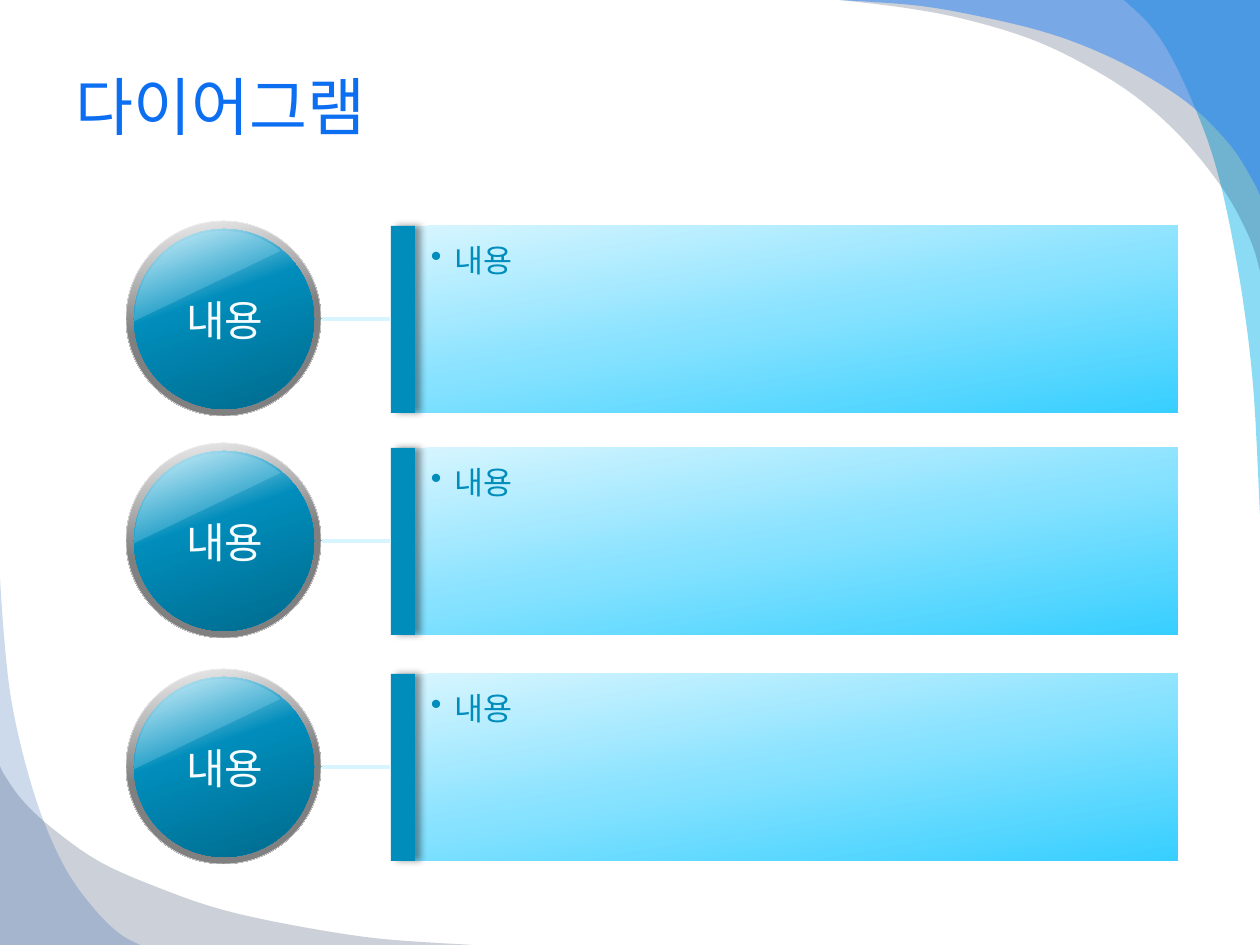
from dataclasses import dataclass

from lxml import etree
from pptx import Presentation
from pptx import util as u
from pptx.dml.color import RGBColor
from pptx.enum import shapes, text
from pptx.oxml import ns

SCALE = 914400 // 126
ROWS = [221, 443, 669]


@dataclass(frozen=True)
class Theme:
    """Colours, gradients and type sizes of the slide."""
    font: str = "Roboto"
    title: str = "0C6FF2"
    label: str = "F7FDFF"
    accent: str = "008DBB"
    gloss: str = "BEEFFF"
    link: str = "D7F5FF"
    rim_line: str = "F2F2F2"
    rim: tuple = ((0, "F2F2F2"), (50, "808080"), (100, "808080"))
    ball: tuple = ((0, "DFF7FF"), (40, "008DBB"), (100, "006A8C"))
    panel: tuple = ((0, "D7F5FF"), (50, "87E2FF"), (100, "37CFFF"))
    title_size: int = 36
    label_size: int = 24
    body_size: int = 18


THEME = Theme()

WAVES = [
    ("00B1E9", 45, (1260, 0),
     [(1124, 0), (1150, 25), (1172, 58), (1196, 110), (1215, 163),
      (1231, 231), (1245, 314), (1254, 397), (1260, 514)]),
    ("021741", 20, (1260, 0),
     [(840, 0), (906, 8), (964, 19), (1028, 38), (1082, 63),
      (1135, 96), (1183, 139), (1225, 192), (1250, 239), (1260, 271)]),
    ("247FF4", 49, (1260, 0),
     [(840, 0), (921, 6), (992, 19), (1051, 34), (1101, 53),
      (1150, 78), (1194, 108), (1231, 146), (1252, 179), (1260, 195)]),
    ("021741", 20, (0, 945),
     [(472, 945), (382, 939), (302, 927), (223, 910), (159, 888),
      (100, 862), (53, 829), (23, 801), (5, 776), (0, 766)]),
    ("084AA1", 20, (0, 945),
     [(0, 577), (4, 635), (11, 698), (25, 762), (44, 822),
      (68, 873), (96, 911), (120, 934), (140, 945)]),
]


def px(*lengths):
    """Turn lengths in px into a list of EMU lengths."""
    return [u.Emu(round(length * SCALE)) for length in lengths]


def add_child(parent, tag, **attributes):
    """Append a DrawingML element and return it."""
    child = etree.SubElement(parent, ns.qn(tag))
    for name, value in attributes.items():
        child.set(name, str(value))
    return child


def paint(shape, color, opacity=100):
    """Fill a shape with one colour, without outline or shadow."""
    shape.shadow.inherit = False
    shape.line.fill.background()
    shape.fill.solid()
    shape.fill.fore_color.rgb = RGBColor.from_string(color)
    if opacity < 100:
        swatch = shape.element.spPr.find(ns.qn("a:solidFill"))[0]
        add_child(swatch, "a:alpha", val=opacity * 1000)


def shade(shape, stops, angle):
    """Fill a shape with a linear gradient running clockwise by angle."""
    shape.shadow.inherit = False
    shape.line.fill.background()
    shape.fill.gradient()
    shape.fill.gradient_angle = 360 - angle
    stop_list = shape.element.spPr.find(".//" + ns.qn("a:gsLst"))
    for stop in list(stop_list):
        stop_list.remove(stop)
    for position, color in stops:
        stop = add_child(stop_list, "a:gs", pos=position * 1000)
        add_child(stop, "a:srgbClr", val=color)


def write(para, words, size, color):
    """Write words in the theme font for Latin and East Asian text."""
    para.text = words
    for span in para.runs:
        span.font.size = u.Pt(size)
        span.font.name = THEME.font
        span.font.color.rgb = RGBColor.from_string(color)
        add_child(span.font._element, "a:ea", typeface=THEME.font)


def smooth_curve(points, steps=5):
    """Return points along a Catmull-Rom curve through the given ones."""
    padded = [points[0], *points, points[-1]]
    curve = []
    for a, b, c, d in zip(padded, padded[1:], padded[2:], padded[3:]):
        for step in range(steps):
            t = step / steps
            curve.append(tuple(
                q + t * (r - p) / 2
                + t ** 2 * (2 * p - 5 * q + 4 * r - s) / 2
                + t ** 3 * (3 * q - p - 3 * r + s) / 2
                for p, q, r, s in zip(a, b, c, d)))
    return curve + [points[-1]]


def add_wave(page, color, opacity, corner, edge):
    """Draw a translucent wave between a slide corner and a curved edge."""
    builder = page.shapes.build_freeform(*px(*corner))
    builder.add_line_segments([px(*point) for point in smooth_curve(edge)])
    paint(builder.convert_to_shape(), color, opacity)


def add_title(page, words):
    """Place and format the title."""
    box = page.shapes.title
    box.left, box.top, box.width, box.height = px(63, 42, 1134, 127)
    box.text_frame.vertical_anchor = text.MSO_ANCHOR.MIDDLE
    para = box.text_frame.paragraphs[0]
    write(para, words, THEME.title_size, THEME.title)
    para.alignment = text.PP_ALIGN.LEFT


def add_button(page, top, words):
    """Draw a glossy round button with a label."""
    kinds = shapes.MSO_SHAPE
    rim = page.shapes.add_shape(kinds.OVAL, *px(126, top, 195, 195))
    shade(rim, THEME.rim, 80)
    rim.line.color.rgb = RGBColor.from_string(THEME.rim_line)
    rim.line.width = u.Pt(0.25)
    ball = page.shapes.add_shape(kinds.OVAL, *px(134, top + 8, 180, 180))
    shade(ball, THEME.ball, 70)
    gloss = page.shapes.add_shape(kinds.CHORD, *px(134, top + 10, 180, 180))
    gloss.adjustments[0], gloss.adjustments[1] = 53.946, 131.298
    gloss.rotation = 90
    paint(gloss, THEME.gloss, 20)
    label = page.shapes.add_textbox(*px(171, top + 67, 108, 63))
    frame = label.text_frame
    frame.word_wrap = False
    frame.auto_size = text.MSO_AUTO_SIZE.SHAPE_TO_FIT_TEXT
    frame.vertical_anchor = text.MSO_ANCHOR.MIDDLE
    write(frame.paragraphs[0], words, THEME.label_size, THEME.label)
    frame.paragraphs[0].alignment = text.PP_ALIGN.CENTER


def add_panel(page, top, words):
    """Draw a content panel with a bullet and a shadowed side bar."""
    kinds = shapes.MSO_SHAPE
    panel = page.shapes.add_shape(kinds.RECTANGLE, *px(401, top, 777, 187))
    shade(panel, THEME.panel, 80)
    frame = panel.text_frame
    frame.word_wrap = True
    frame.vertical_anchor = text.MSO_ANCHOR.TOP
    (frame.margin_left, frame.margin_top,
     frame.margin_right, frame.margin_bottom) = px(30, 15, 13, 6)
    para = frame.paragraphs[0]
    properties = para._p.get_or_add_pPr()
    indent = px(24)[0]
    properties.set("marL", str(indent))
    properties.set("indent", str(-indent))
    add_child(properties, "a:buChar", char="•")
    write(para, words, THEME.body_size, THEME.accent)
    para.alignment = text.PP_ALIGN.LEFT

    bar = page.shapes.add_shape(kinds.RECTANGLE, *px(391, top, 24, 187))
    paint(bar, THEME.accent)
    effects = bar.element.spPr.find(ns.qn("a:effectLst"))
    shadow = add_child(effects, "a:outerShdw", blurRad=u.Pt(4), dist=u.Pt(3),
                       dir=0, algn="l", rotWithShape=0)
    add_child(add_child(shadow, "a:srgbClr", val="000000"),
              "a:alpha", val=40000)


def add_link(page, y):
    """Join a button to its panel."""
    link = page.shapes.add_connector(
        shapes.MSO_CONNECTOR.STRAIGHT, *px(322, y, 391, y))
    link.line.color.rgb = RGBColor.from_string(THEME.link)
    link.line.width = u.Pt(2.25)
    add_child(link._element.spPr, "a:effectLst")


def main():
    """Build the diagram slide and save it."""
    deck = Presentation()
    deck.slide_width, deck.slide_height = px(1260, 945)
    page = deck.slides.add_slide(deck.slide_layouts[5])
    for wave in WAVES:
        add_wave(page, *wave)
    add_title(page, "다이어그램")
    for top in ROWS:
        add_button(page, top, "내용")
        add_panel(page, top + 5, "내용")
        add_link(page, top + 98)
    deck.save("out.pptx")


if __name__ == "__main__":
    main()
